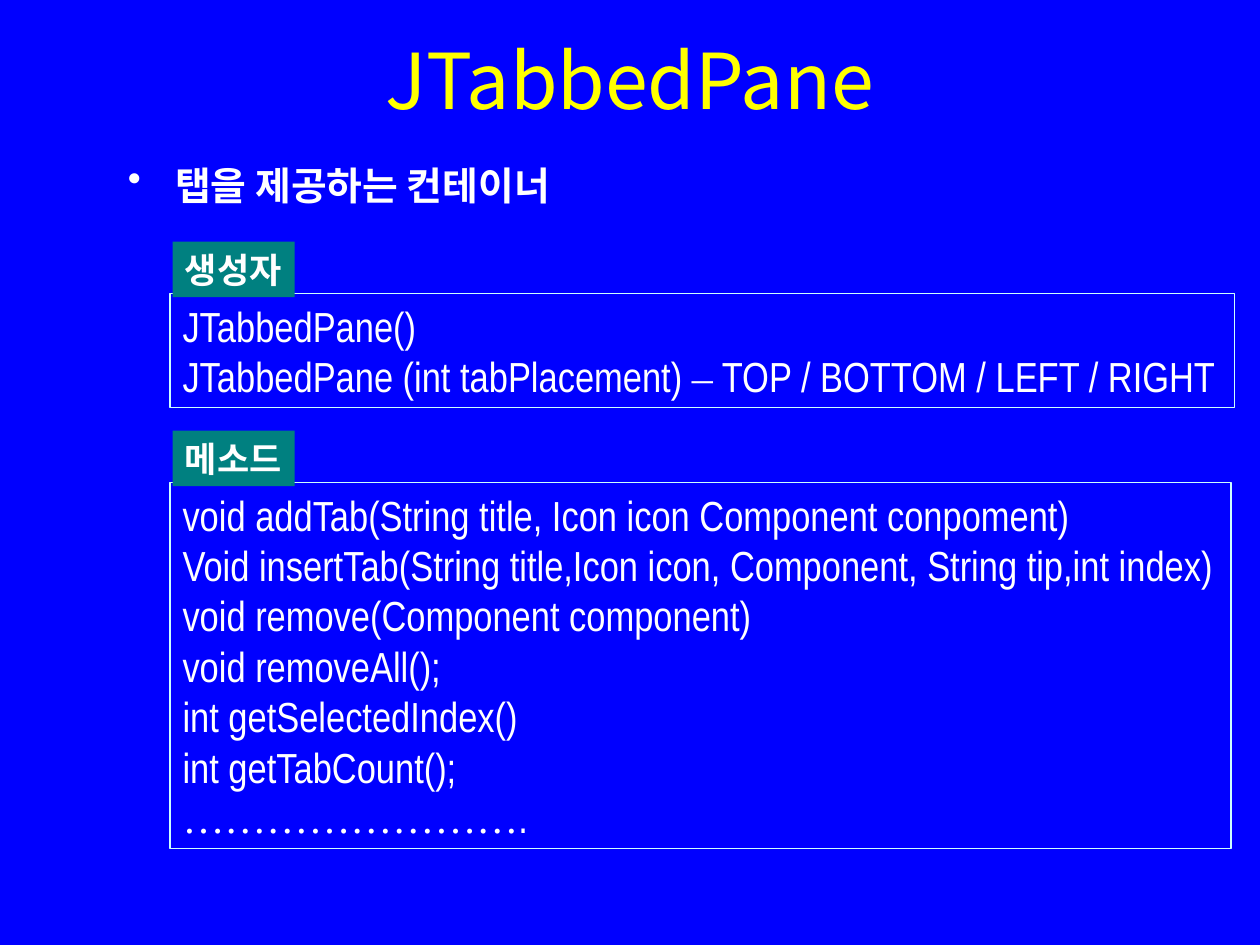
from dataclasses import dataclass

from lxml import etree
from pptx import Presentation
from pptx import util as u
from pptx.dml.color import RGBColor
from pptx.enum import shapes, text
from pptx.oxml import ns


@dataclass(frozen=True)
class Theme:
    """Colours, fonts and type sizes of the slide."""
    background: str = "0000FF"
    title: str = "FFFF00"
    body: str = "FFFFFF"
    label: str = "008080"
    border: str = "CCFFFF"
    hangul: str = "Noto Sans CJK KR"
    code: str = "Arial Narrow"
    serif: str = "Times New Roman"
    title_size: float = 44
    bullet_size: float = 22.2
    code_size: float = 24
    label_size: float = 20


THEME = Theme()
CONSTRUCTORS = [
    [("JTabbedPane()", THEME.code)],
    [("JTabbedPane (int tabPlacement) ", THEME.code), ("–", THEME.serif),
     (" TOP / BOTTOM / LEFT / RIGHT", THEME.code)],
]
METHODS = [[(line, THEME.code)] for line in (
    "void addTab(String title, Icon icon Component conpoment)",
    "Void insertTab(String title,Icon icon, Component, String tip,int index)",
    "void remove(Component component)",
    "void removeAll();",
    "int getSelectedIndex()",
    "int getTabCount();",
)] + [[("……………………", THEME.serif), (".", THEME.code)]]


def colour(value):
    """Turn a hex string into a colour."""
    return RGBColor.from_string(value)


def write(paragraph, content, *, size, font, color=THEME.body, bold=False, hangul=False):
    """Add one formatted run to a paragraph."""
    run = paragraph.add_run()
    run.text = content
    run.font.size = u.Pt(size)
    run.font.name = font
    run.font.bold = bold
    run.font.color.rgb = colour(color)
    if hangul:
        east_asian = etree.SubElement(run.font._element, ns.qn("a:ea"))
        east_asian.set("typeface", THEME.hangul)


def add_title(slide, content):
    """Place and format the title placeholder."""
    title = slide.shapes.title
    title.left, title.top, title.width, title.height = u.Cm(1.9), 0, u.Cm(21.6), u.Cm(3.18)
    title.text_frame.vertical_anchor = text.MSO_ANCHOR.MIDDLE
    paragraph = title.text_frame.paragraphs[0]
    paragraph.alignment = text.PP_ALIGN.CENTER
    write(paragraph, content, size=THEME.title_size, font=THEME.hangul,
          color=THEME.title, hangul=True)


def add_bullet(slide, content):
    """Add the bulleted summary line."""
    shape = slide.shapes.add_textbox(u.Cm(2.33), u.Cm(3.39), u.Cm(21.6), u.Cm(1))
    shape.text_frame.word_wrap = True
    paragraph = shape.text_frame.paragraphs[0]
    paragraph.line_spacing = 0.7
    properties = paragraph._p.get_or_add_pPr()
    indent = u.Cm(0.95)
    properties.set("marL", str(indent))
    properties.set("indent", str(-indent))
    etree.SubElement(properties, ns.qn("a:buChar")).set("char", "•")
    write(paragraph, content, size=THEME.bullet_size, font=THEME.hangul,
          bold=True, hangul=True)


def add_rectangle(group, left, top, width, height, *, fill=None, line=None):
    """Add a rectangle for unwrapped, left-aligned text and return its text frame."""
    shape = group.shapes.add_shape(shapes.MSO_SHAPE.RECTANGLE, u.Cm(left), u.Cm(top),
                                   u.Cm(width), u.Cm(height))
    shape.shadow.inherit = False
    if fill:
        shape.fill.solid()
        shape.fill.fore_color.rgb = colour(fill)
    else:
        shape.fill.background()
    if line:
        shape.line.color.rgb = colour(line)
        shape.line.width = u.Pt(0.75)
    else:
        shape.line.fill.background()
    frame = shape.text_frame
    frame.word_wrap = False
    frame.vertical_anchor = text.MSO_ANCHOR.MIDDLE
    return frame


def add_section(slide, label, lines, *, top, width, height):
    """Add a framed code listing with a label on its upper left corner."""
    group = slide.shapes.add_group_shape()
    listing = add_rectangle(group, 3.43, top, width, height, line=THEME.border)
    for index, pieces in enumerate(lines):
        paragraph = listing.add_paragraph() if index else listing.paragraphs[0]
        paragraph.alignment = text.PP_ALIGN.LEFT
        for content, font in pieces:
            write(paragraph, content, size=THEME.code_size, font=font)
    tag = add_rectangle(group, 3.48, top - 1.05, 2.46, 1.12, fill=THEME.label)
    tag.paragraphs[0].alignment = text.PP_ALIGN.LEFT
    write(tag.paragraphs[0], label, size=THEME.label_size, font=THEME.code,
          bold=True, hangul=True)


def main():
    """Build and save the slide."""
    presentation = Presentation()
    presentation.slide_width, presentation.slide_height = u.Cm(25.4), u.Cm(19.05)
    slide = presentation.slides.add_slide(presentation.slide_layouts[5])
    slide.background.fill.solid()
    slide.background.fill.fore_color.rgb = colour(THEME.background)
    add_title(slide, "JTabbedPane")
    add_bullet(slide, "탭을 제공하는 컨테이너")
    add_section(slide, "생성자", CONSTRUCTORS, top=5.92, width=21.46, height=2.29)
    add_section(slide, "메소드", METHODS, top=9.73, width=21.39, height=7.37)
    presentation.save("out.pptx")


if __name__ == "__main__":
    main()
